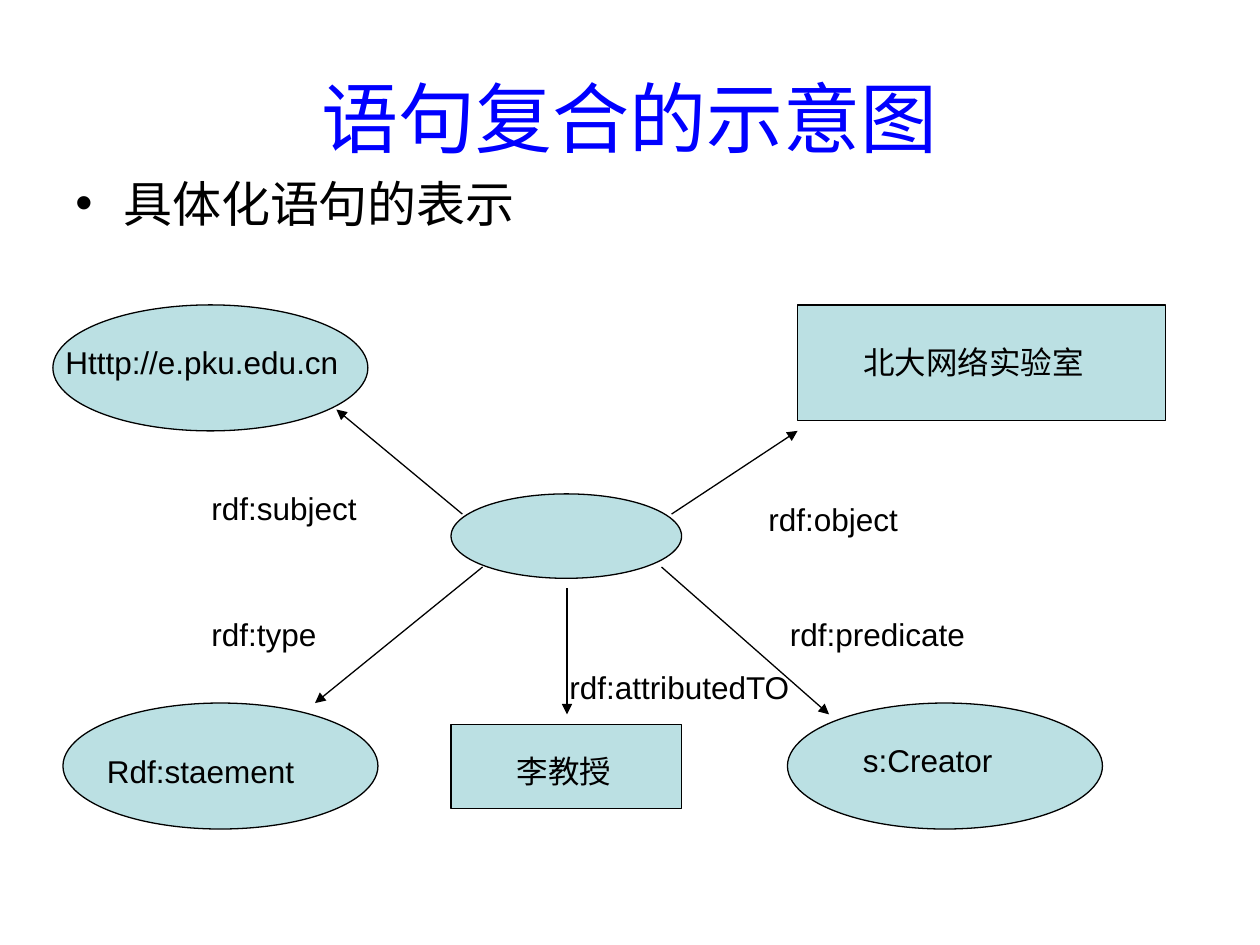
from dataclasses import dataclass

from lxml import etree
from pptx import Presentation
from pptx.dml.color import RGBColor
from pptx.enum.shapes import MSO_CONNECTOR, MSO_SHAPE
from pptx.enum.text import MSO_ANCHOR, PP_ALIGN
from pptx.oxml.ns import qn
from pptx.slide import Slide
from pptx.text.text import _Paragraph
from pptx.util import Inches, Pt

ELLIPSE = MSO_SHAPE.OVAL
RECTANGLE = MSO_SHAPE.RECTANGLE
STRAIGHT = MSO_CONNECTOR.STRAIGHT
LEFT = PP_ALIGN.LEFT
CENTER = PP_ALIGN.CENTER
TOP = MSO_ANCHOR.TOP
MIDDLE = MSO_ANCHOR.MIDDLE


@dataclass(frozen=True)
class Theme:
    font: str = "Arial"
    title_color: RGBColor = RGBColor(0x00, 0x00, 0xFF)
    ink: RGBColor = RGBColor(0x00, 0x00, 0x00)
    node_fill: RGBColor = RGBColor(0xBB, 0xE0, 0xE3)
    title_size: int = 44
    body_size: int = 28
    label_size: int = 18
    line_width: float = 0.75


@dataclass(frozen=True)
class Node:
    kind: MSO_SHAPE
    left: float
    top: float
    width: float
    height: float


@dataclass(frozen=True)
class Arrow:
    start: tuple[float, float]
    end: tuple[float, float]


@dataclass(frozen=True)
class Label:
    text: str
    left: float
    top: float
    width: float
    height: float = 0.4
    indent: float = 0.0


THEME = Theme()

TITLE = Label("语句复合的示意图", 0.5, 0.3, 9, 1.25)
BODY = Label("具体化语句的表示", 0.5, 1.42, 9, 0.5)

NODES = [
    Node(ELLIPSE, 0.42, 2.42, 2.5, 1),
    Node(RECTANGLE, 6.33, 2.42, 2.92, 0.92),
    Node(ELLIPSE, 3.58, 3.92, 1.83, 0.67),
    Node(ELLIPSE, 0.5, 5.58, 2.5, 1),
    Node(RECTANGLE, 3.58, 5.75, 1.83, 0.67),
    Node(ELLIPSE, 6.25, 5.58, 2.5, 1),
]

ARROWS = [
    Arrow((3.67, 4.08), (2.67, 3.25)),
    Arrow((5.33, 4.08), (6.33, 3.42)),
    Arrow((3.83, 4.5), (2.5, 5.58)),
    Arrow((5.25, 4.5), (6.58, 5.67)),
    Arrow((4.5, 4.67), (4.5, 5.67)),
]

LABELS = [
    Label("Htttp://e.pku.edu.cn", 0.42, 2.67, 2.42),
    Label("北大网络实验室", 6.5, 2.67, 2.58, indent=0.25),
    Label("Rdf:staement", 0.75, 5.92, 2),
    Label("李教授", 3.75, 5.92, 1.42, indent=0.25),
    Label("s:Creator", 6.75, 5.83, 1.58),
    Label("rdf:subject", 1.58, 3.83, 1.5),
    Label("rdf:object", 6, 3.92, 1.83),
    Label("rdf:type", 1.58, 4.83, 1.17),
    Label("rdf:attributedTO", 4.42, 5.25, 2.08),
    Label("rdf:predicate", 6.17, 4.83, 2.42),
]


def add_label(
    slide: Slide,
    label: Label,
    size: int = THEME.label_size,
    color: RGBColor = THEME.ink,
    alignment: PP_ALIGN = LEFT,
    anchor: MSO_ANCHOR = TOP,
) -> _Paragraph:
    shape = slide.shapes.add_textbox(
        Inches(label.left), Inches(label.top), Inches(label.width), Inches(label.height)
    )
    text_frame = shape.text_frame
    text_frame.word_wrap = True
    text_frame.vertical_anchor = anchor
    text_frame.margin_left = Inches(0.1 + label.indent)
    text_frame.text = label.text
    paragraph = text_frame.paragraphs[0]
    paragraph.alignment = alignment
    for run in paragraph.runs:
        run.font.name = THEME.font
        run.font.size = Pt(size)
        run.font.color.rgb = color
    return paragraph


def add_bullet(paragraph: _Paragraph, hang: float) -> None:
    paragraph.line_spacing = 0.8
    properties = paragraph._p.get_or_add_pPr()
    properties.set("marL", str(Inches(hang)))
    properties.set("indent", str(-Inches(hang)))
    etree.SubElement(properties, qn("a:buFont"), typeface=THEME.font)
    etree.SubElement(properties, qn("a:buChar"), char="•")


def add_node(slide: Slide, node: Node) -> None:
    shape = slide.shapes.add_shape(
        node.kind, Inches(node.left), Inches(node.top), Inches(node.width), Inches(node.height)
    )
    shape.shadow.inherit = False
    shape.fill.solid()
    shape.fill.fore_color.rgb = THEME.node_fill
    shape.line.color.rgb = THEME.ink
    shape.line.width = Pt(THEME.line_width)


def add_arrow(slide: Slide, arrow: Arrow) -> None:
    connector = slide.shapes.add_connector(
        STRAIGHT, *(Inches(length) for length in arrow.start + arrow.end)
    )
    connector.line.color.rgb = THEME.ink
    connector.line.width = Pt(THEME.line_width)
    etree.SubElement(connector.line._get_or_add_ln(), qn("a:tailEnd"), type="triangle")
    etree.SubElement(connector._element.spPr, qn("a:effectLst"))


def main() -> None:
    presentation = Presentation()
    presentation.slide_width = Inches(10)
    presentation.slide_height = Inches(7.5)
    slide = presentation.slides.add_slide(presentation.slide_layouts[6])

    add_label(slide, TITLE, THEME.title_size, THEME.title_color, CENTER, MIDDLE)
    add_bullet(add_label(slide, BODY, THEME.body_size), hang=0.38)
    for node in NODES:
        add_node(slide, node)
    for arrow in ARROWS:
        add_arrow(slide, arrow)
    for label in LABELS:
        add_label(slide, label)

    presentation.save("out.pptx")


if __name__ == "__main__":
    main()
